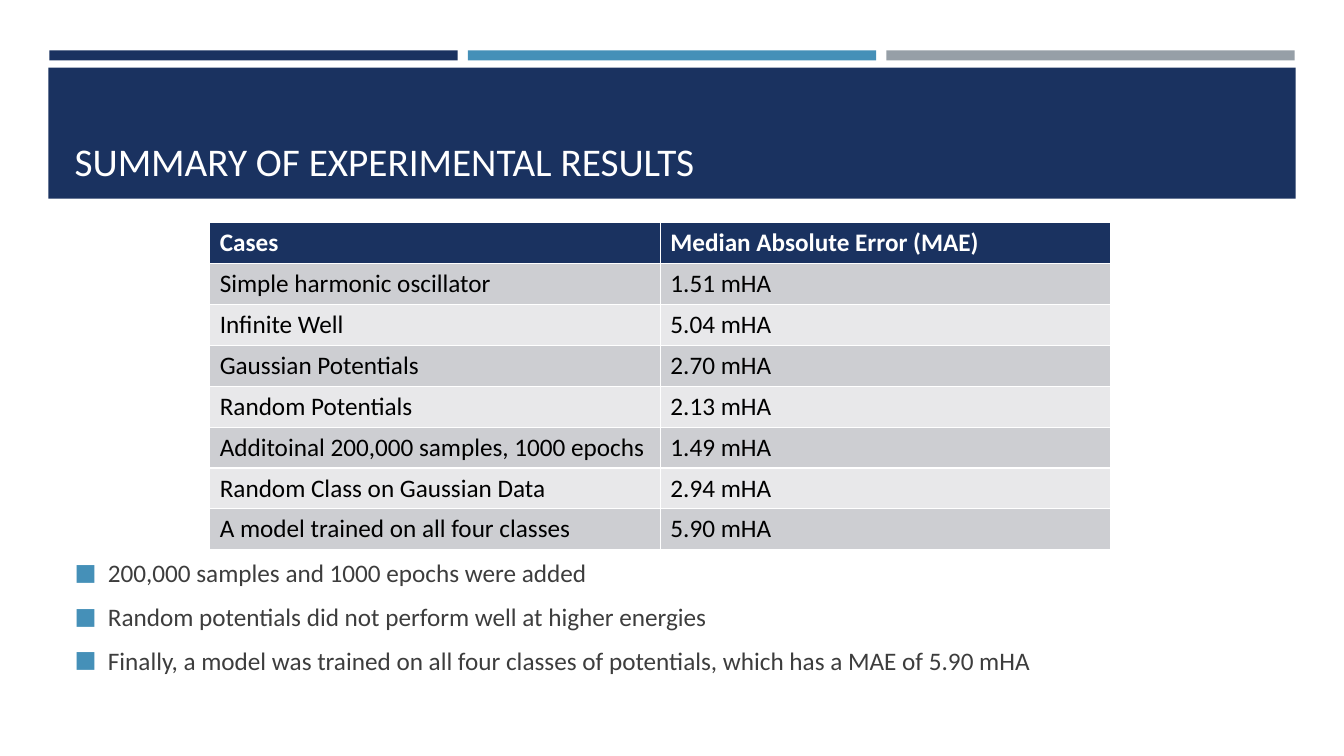
from typing import Any, NamedTuple

from lxml import etree
from pptx import Presentation
from pptx.dml.color import RGBColor
from pptx.enum.shapes import MSO_SHAPE
from pptx.enum.text import MSO_ANCHOR, MSO_AUTO_SIZE, PP_ALIGN
from pptx.oxml.ns import qn
from pptx.util import Inches, Pt

RECTANGLE = MSO_SHAPE.RECTANGLE
BOTTOM, MIDDLE = MSO_ANCHOR.BOTTOM, MSO_ANCHOR.MIDDLE
NO_FIT = MSO_AUTO_SIZE.NONE
LEFT = PP_ALIGN.LEFT

NAVY = RGBColor(0x1A, 0x32, 0x60)
BLUE = RGBColor(0x45, 0x90, 0xB8)
GRAY = RGBColor(0x96, 0x9F, 0xA7)
WHITE = RGBColor(0xFF, 0xFF, 0xFF)
BLACK = RGBColor(0x00, 0x00, 0x00)
CHARCOAL = RGBColor(0x3D, 0x3D, 0x3D)
DARK_BAND = RGBColor(0xCD, 0xCE, 0xD2)
LIGHT_BAND = RGBColor(0xE8, 0xE8, 0xEA)

FONT = "Calibri"
ROW_HEIGHT = 0.4
COLUMN_WIDTH = 4.47


class Box(NamedTuple):
    left: float
    top: float
    width: float
    height: float


class Bar(NamedTuple):
    box: Box
    color: RGBColor


class Result(NamedTuple):
    case: str
    error: str


BARS = [Bar(Box(0.49 + 4.15 * i, 0.5, 4.05, 0.1), color)
        for i, color in enumerate((NAVY, BLUE, GRAY))]
BARS.append(Bar(Box(0.48, 0.67, 12.37, 1.3), NAVY))

RESULTS = [
    Result("Cases", "Median Absolute Error (MAE)"),
    Result("Simple harmonic oscillator", "1.51 mHA"),
    Result("Infinite Well", "5.04 mHA"),
    Result("Gaussian Potentials", "2.70 mHA"),
    Result("Random Potentials", "2.13 mHA"),
    Result("Additoinal 200,000 samples, 1000 epochs", "1.49 mHA"),
    Result("Random Class on Gaussian Data", "2.94 mHA"),
    Result("A model trained on all four classes", "5.90 mHA"),
]

FINDINGS = [
    "200,000 samples and 1000 epochs were added",
    "Random potentials did not perform well at higher energies",
    "Finally, a model was trained on all four classes of potentials, "
    "which has a MAE of 5.90 mHA",
]


def apply(target: Any, **values: Any) -> None:
    for name, value in values.items():
        setattr(target, name, value)


def add_text(p: Any, text: str, size: int, color: RGBColor,
             bold: bool = False) -> None:
    r = p.add_run()
    r.text = text
    apply(r.font, name=FONT, size=Pt(size), bold=bold)
    r.font.color.rgb = color


def place(sp: Any, box: Box) -> None:
    apply(sp, **{k: Inches(v) for k, v in box._asdict().items()})


def add_bar(s: Any, bar: Bar) -> None:
    sp = s.shapes.add_shape(RECTANGLE, *map(Inches, bar.box))
    sp.shadow.inherit = False
    sp.fill.solid()
    sp.fill.fore_color.rgb = bar.color
    sp.line.fill.background()
    s.shapes.element.insert(2, sp.element)


def add_bullet(p: Any) -> None:
    pPr = p._p.get_or_add_pPr()
    pPr.set("marL", str(Inches(0.33)))
    pPr.set("indent", str(Inches(-0.33)))
    color = etree.SubElement(pPr, qn("a:buClr"))
    etree.SubElement(color, qn("a:srgbClr"), val=str(BLUE))
    etree.SubElement(pPr, qn("a:buSzPct"), val="92000")
    etree.SubElement(pPr, qn("a:buFont"), typeface=FONT)
    etree.SubElement(pPr, qn("a:buChar"), char="■")


def fill_title(sp: Any) -> None:
    place(sp, Box(0.64, 0.77, 12.06, 1.11))
    tf = sp.text_frame
    apply(tf, vertical_anchor=BOTTOM, auto_size=NO_FIT, word_wrap=True)
    p = tf.paragraphs[0]
    p.alignment = LEFT
    add_text(p, "SUMMARY OF EXPERIMENTAL RESULTS", 28, WHITE)


def fill_findings(sp: Any) -> None:
    place(sp, Box(0.64, 4.44, 12.06, 2.91))
    tf = sp.text_frame
    apply(tf, vertical_anchor=MIDDLE, auto_size=NO_FIT, word_wrap=True,
          margin_top=Inches(0.49))
    for i, finding in enumerate(FINDINGS):
        p = tf.add_paragraph() if i else tf.paragraphs[0]
        apply(p, alignment=LEFT, space_before=Pt(3.6), space_after=Pt(6))
        add_bullet(p)
        add_text(p, finding, 18, CHARCOAL)


def add_results(s: Any) -> None:
    box = Box(2.08, 2.21, 2 * COLUMN_WIDTH, len(RESULTS) * ROW_HEIGHT)
    table = s.shapes.add_table(len(RESULTS), 2, *map(Inches, box)).table
    for column in table.columns:
        column.width = Inches(COLUMN_WIDTH)
    for i, result in enumerate(RESULTS):
        table.rows[i].height = Inches(ROW_HEIGHT)
        header = i == 0
        band = NAVY if header else DARK_BAND if i % 2 else LIGHT_BAND
        for j, text in enumerate(result):
            cell = table.cell(i, j)
            cell.fill.solid()
            cell.fill.fore_color.rgb = band
            add_text(cell.text_frame.paragraphs[0], text, 18,
                     WHITE if header else BLACK, header)


def main() -> None:
    prs = Presentation()
    apply(prs, slide_width=Inches(13.33), slide_height=Inches(7.5))
    s = prs.slides.add_slide(prs.slide_layouts[1])
    for bar in BARS:
        add_bar(s, bar)
    fill_title(s.shapes.title)
    fill_findings(s.placeholders[1])
    add_results(s)
    prs.save("out.pptx")


if __name__ == "__main__":
    main()
